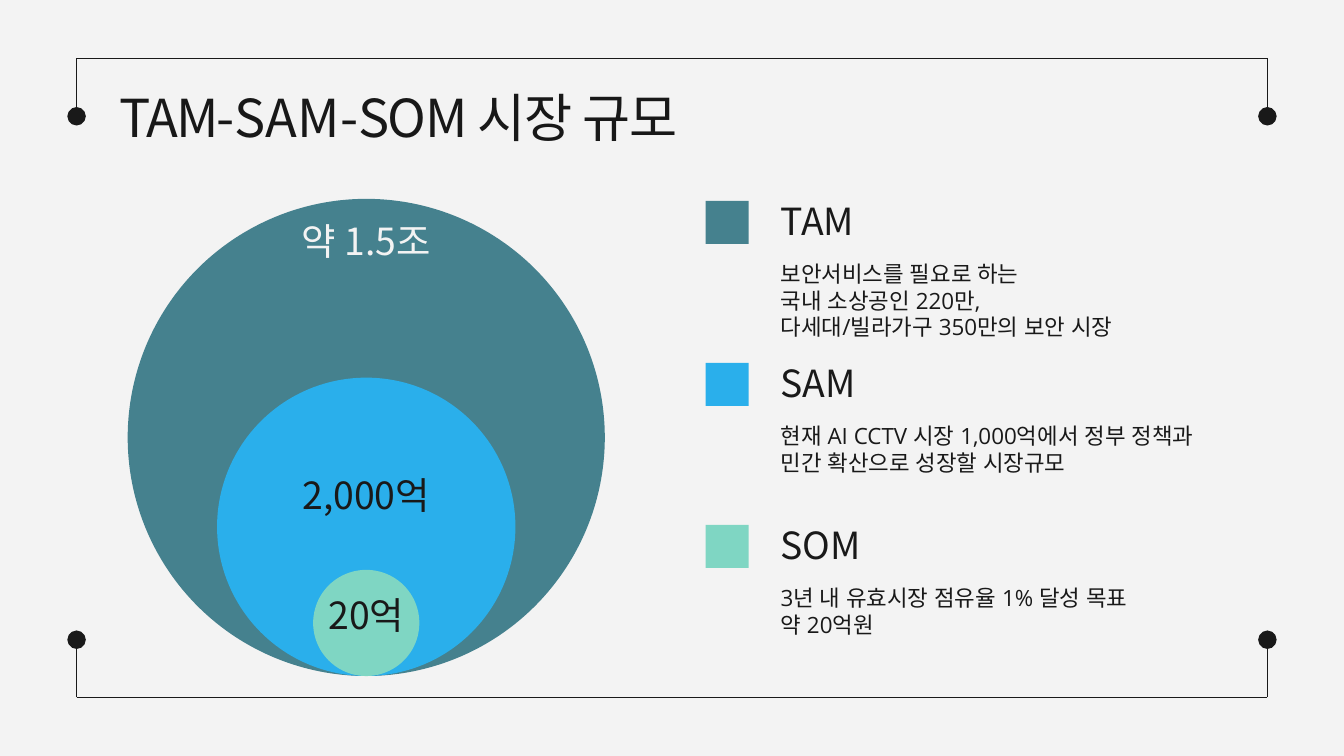
from dataclasses import dataclass

import pptx
import pptx.dml.color
import pptx.enum.shapes
import pptx.enum.text
import pptx.oxml
import pptx.oxml.ns
import pptx.util

WIDTH, HEIGHT = pptx.util.Inches(10), pptx.util.Inches(5.625)
CELL = WIDTH / 100  # square grid: 100 columns, 56.25 rows
INK, PAPER = "191919", "F3F3F3"
HEAD_FONT, BODY_FONT = "Noto Sans CJK KR", "Open Sans"
SHAPE = pptx.enum.shapes.MSO_SHAPE
ALIGN = pptx.enum.text.PP_ALIGN
ANCHOR = pptx.enum.text.MSO_ANCHOR

FRAME_LEFT, FRAME_RIGHT, FRAME_TOP, FRAME_BOTTOM = 5.7, 94.3, 4.35, 51.9
FRAME_ARM = 4.3
CIRCLE_CENTRE, CIRCLE_BOTTOM = 27.25, 50.3
LABEL_WIDTH, LABEL_HEIGHT = 13.9, 6.1
LEGEND_TOP, LEGEND_STEP = 14.5, 12.05
LEGEND_TEXT_LEFT, LEGEND_TEXT_WIDTH = 57.1, 35


@dataclass
class Market:
    name: str
    color: str
    diameter: float
    amount: str
    amount_top: float
    amount_color: str
    details: list[str]


MARKETS = [
    Market("TAM", "45818E", 35.5, "약 1.5조", 15.6, PAPER,
           ["보안서비스를 필요로 하는", "국내 소상공인 220만,",
            "다세대/빌라가구 350만의 보안 시장"]),
    Market("SAM", "2AAFEB", 22.2, "2,000억", 34.5, INK,
           ["현재 AI CCTV 시장 1,000억에서 정부 정책과 민간 확산으로 성장할 시장규모"]),
    Market("SOM", "7FD6C3", 7.9, "20억", 43.4, INK,
           ["3년 내 유효시장 점유율 1% 달성 목표", "약 20억원"]),
]
TITLE_RUNS = [("TAM-", -1), ("SAM-", 0), ("SOM ", -0.8), ("시장 ", -0.9), ("규모", -0.2)]


def cells(*values: float) -> list[int]:
    return [round(v * CELL) for v in values]


def rgb(color: str) -> pptx.dml.color.RGBColor:
    return pptx.dml.color.RGBColor.from_string(color)


def add_xml(parent, tag: str, **attributes: str) -> None:
    child = pptx.oxml.parse_xml(f"<a:{tag} {pptx.oxml.ns.nsdecls('a')}/>")
    for key, value in attributes.items():
        child.set(key, value)
    parent.append(child)


def add_text(s, box, paragraphs, *, size: float, font: str = HEAD_FONT,
             color: str = INK, align=ALIGN.LEFT, anchor=ANCHOR.TOP, spacing=0.9) -> None:
    """Each paragraph is a list of (text, letter spacing in points) runs."""
    tf = s.shapes.add_textbox(*cells(*box)).text_frame
    tf.word_wrap = True
    tf.vertical_anchor = anchor
    tf.margin_left = tf.margin_right = tf.margin_top = tf.margin_bottom = cells(1)[0]
    for i, runs in enumerate(paragraphs):
        p = tf.add_paragraph() if i else tf.paragraphs[0]
        p.alignment = align
        p.line_spacing = spacing
        for text, tracking in runs:
            r = p.add_run()
            r.text = text
            r.font.size = pptx.util.Pt(size)
            r.font.name = font
            r.font.color.rgb = rgb(color)
            rpr = r.font._element
            add_xml(rpr, "ea", typeface=font)
            if tracking:
                rpr.set("spc", str(round(tracking * 100)))


def add_shape(s, kind, box, color: str) -> None:
    sp = s.shapes.add_shape(kind, *cells(*box))
    sp.shadow.inherit = False
    sp.fill.solid()
    sp.fill.fore_color.rgb = rgb(color)
    sp.line.fill.background()


def add_line(s, x1: float, y1: float, x2: float, y2: float, dot: bool = False) -> None:
    line = s.shapes.add_connector(pptx.enum.shapes.MSO_CONNECTOR.STRAIGHT,
                                  *cells(x1, y1, x2, y2))
    line.line.color.rgb = rgb(INK)
    line.line.width = pptx.util.Pt(0.75)
    if dot:
        add_xml(line.line._get_or_add_ln(), "tailEnd", type="oval", w="lg", len="lg")
    add_xml(line._element.spPr, "effectLst")


def add_frame(s) -> None:
    for y, arm in ((FRAME_TOP, FRAME_ARM), (FRAME_BOTTOM, -FRAME_ARM)):
        add_line(s, FRAME_LEFT, y, FRAME_RIGHT, y)
        for x in (FRAME_LEFT, FRAME_RIGHT):
            add_line(s, x, y, x, y + arm, dot=True)


def add_circles(s) -> None:
    for m in MARKETS:
        d = m.diameter
        add_shape(s, SHAPE.OVAL, (CIRCLE_CENTRE - d / 2, CIRCLE_BOTTOM - d, d, d), m.color)
    for m in MARKETS:
        box = (CIRCLE_CENTRE - LABEL_WIDTH / 2, m.amount_top, LABEL_WIDTH, LABEL_HEIGHT)
        add_text(s, box, [[(m.amount, 0)]], size=20, color=m.amount_color,
                 align=ALIGN.CENTER)


def add_legend(s) -> None:
    for i, m in enumerate(MARKETS):
        top = LEGEND_TOP + i * LEGEND_STEP
        add_shape(s, SHAPE.RECTANGLE, (52.5, top + 0.45, 3.2, 3.2), m.color)
        add_text(s, (LEGEND_TEXT_LEFT, top, LEGEND_TEXT_WIDTH, 4.6), [[(m.name, 0)]],
                 size=20, anchor=ANCHOR.BOTTOM)
        add_text(s, (LEGEND_TEXT_LEFT, top + 3.9, LEGEND_TEXT_WIDTH, 7.2),
                 [[(line, 0)] for line in m.details], size=12, font=BODY_FONT,
                 spacing=pptx.util.Pt(14.2))


def main() -> None:
    prs = pptx.Presentation()
    prs.slide_width, prs.slide_height = WIDTH, HEIGHT
    s = prs.slides.add_slide(prs.slide_layouts[6])
    s.background.fill.solid()
    s.background.fill.fore_color.rgb = rgb(PAPER)
    add_frame(s)
    add_text(s, (7.9, 5.9, 84.3, 6.3), [TITLE_RUNS], size=28, color="181818")
    add_circles(s)
    add_legend(s)
    prs.save("out.pptx")


if __name__ == "__main__":
    main()
